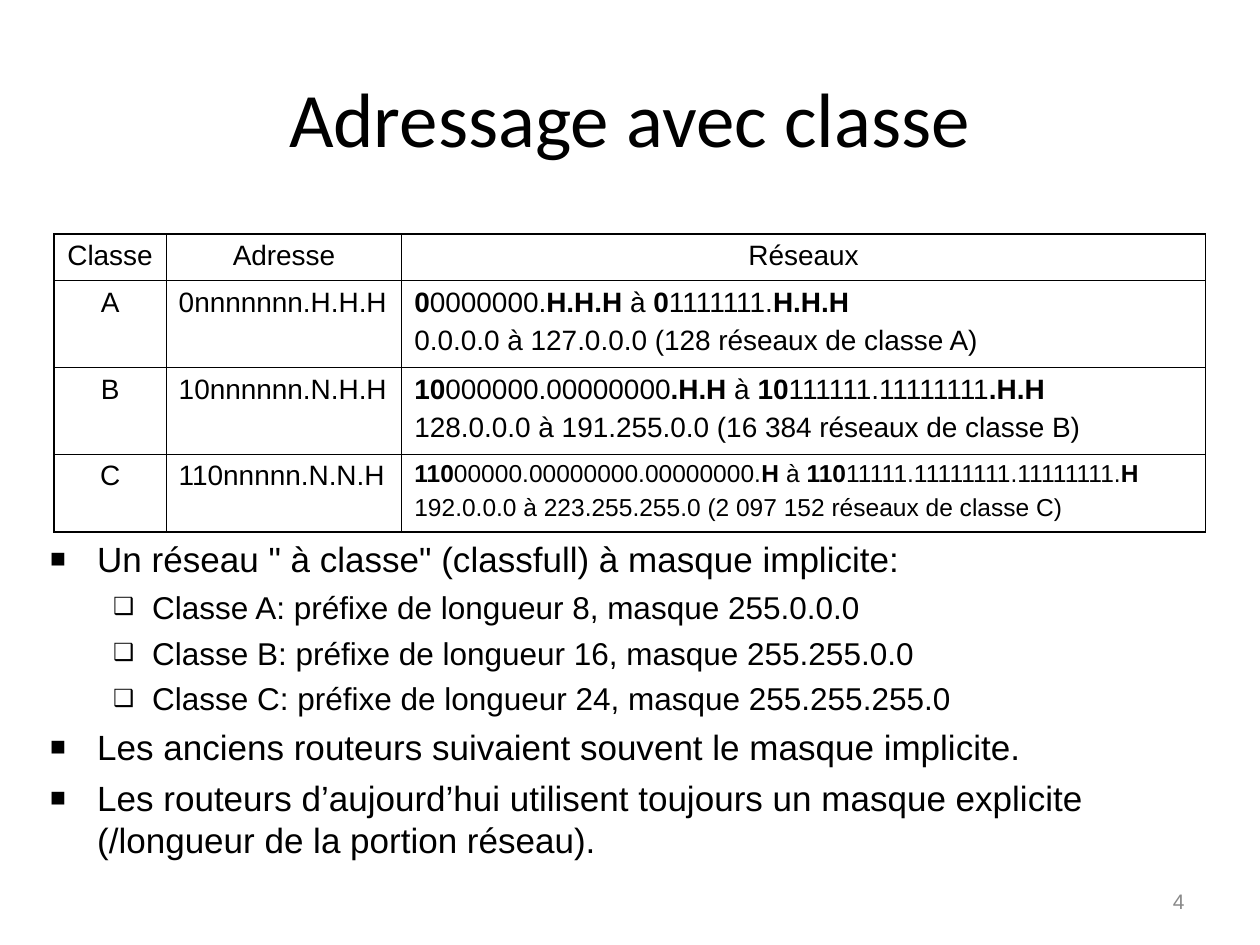
from pptx import Presentation
from pptx.dml.color import RGBColor
from pptx.enum.text import MSO_ANCHOR as ANCHOR, PP_ALIGN as ALIGN
from pptx.oxml import parse_xml
from pptx.oxml.ns import nsdecls
from pptx.util import Cm, Pt

BLACK = RGBColor(0x00, 0x00, 0x00)
GREY = RGBColor(0x89, 0x89, 0x89)
THIN, THICK = Pt(0.45), Pt(1.08)

COLUMNS = [2.26, 4.75, 16.2]
ROWS = [
    (0.94, 16, ["Classe", "Adresse", ["Réseaux"]]),
    (1.75, 16, ["A", "0nnnnnnn.H.H.H", [
        "*0*0000000.*H.H.H* à *0*1111111.*H.H.H*",
        "0.0.0.0 à 127.0.0.0 (128 réseaux de classe A)"]]),
    (1.75, 16, ["B", "10nnnnnn.N.H.H", [
        "*10*000000.00000000*.H.H* à *10*111111.11111111*.H.H*",
        "128.0.0.0 à 191.255.0.0 (16 384 réseaux de classe B)"]]),
    (1.57, 14, ["C", "110nnnnn.N.N.H", [
        "*110*00000.00000000.00000000.*H* à *110*11111.11111111.11111111.*H*",
        "192.0.0.0 à 223.255.255.0 (2 097 152 réseaux de classe C)"]]),
]
BULLETS = [
    (0, 'Un réseau " à classe" (classfull) à masque implicite:'),
    (1, "Classe A: préfixe de longueur 8, masque 255.0.0.0"),
    (1, "Classe B: préfixe de longueur 16, masque 255.255.0.0"),
    (1, "Classe C: préfixe de longueur 24, masque 255.255.255.0"),
    (0, "Les anciens routeurs suivaient souvent le masque implicite."),
    (0, "Les routeurs d’aujourd’hui utilisent toujours un masque explicite "
        "(/longueur de la portion réseau)."),
]
LEVELS = [("■", 20, 5, 0.95, 0.95), ("❑", 18, 4.5, 2.06, 0.79)]


def add_run(p, text, size, color=BLACK, font="Arial", bold=False):
    """Append one formatted run to a paragraph."""
    r = p.add_run()
    r.text = text
    r.font.size, r.font.name, r.font.bold = Pt(size), font, bold
    r.font.color.rgb = color


def add_frame(s, box, anchor=ANCHOR.TOP):
    """Add a wrapping text box and return its text frame."""
    tf = s.shapes.add_textbox(*map(Cm, box)).text_frame
    tf.word_wrap = True
    tf.vertical_anchor = anchor
    return tf


def next_paragraph(tf, index):
    """Return the first paragraph of a frame, or a new one after it."""
    return tf.add_paragraph() if index else tf.paragraphs[0]


def add_line(s, box, text, size, align, color=BLACK, font="Arial"):
    """Place a single line centred vertically in the box."""
    p = add_frame(s, box, ANCHOR.MIDDLE).paragraphs[0]
    p.alignment = align
    add_run(p, text, size, color, font)


def set_borders(cell, widths):
    """Draw the left, right, top and bottom borders of a cell."""
    tc_pr = cell._tc.get_or_add_tcPr()
    for i, (side, width) in enumerate(zip("LRTB", widths)):
        tc_pr.insert(i, parse_xml(
            f'<a:ln{side} {nsdecls("a")} w="{int(width)}"><a:solidFill>'
            f'<a:srgbClr val="{BLACK}"/></a:solidFill></a:ln{side}>'))


def fill_cell(cell, lines, size, align):
    """Write lines into a cell, with starred parts in bold."""
    cell.fill.background()
    for i, line in enumerate(lines):
        p = next_paragraph(cell.text_frame, i)
        p.alignment = align
        p.space_before = Pt(size / 4)
        for j, part in enumerate(line.split("*")):
            if part:
                add_run(p, part, size, bold=j % 2 == 1)


def add_class_table(s, left, top):
    """Place the table of address classes at the given corner."""
    height = sum(row[0] for row in ROWS)
    table = s.shapes.add_table(len(ROWS), len(COLUMNS), Cm(left), Cm(top),
                               Cm(sum(COLUMNS)), Cm(height)).table
    table.first_row = table.horz_banding = False
    for column, width in zip(table.columns, COLUMNS):
        column.width = Cm(width)
    last_row, last_col = len(ROWS) - 1, len(COLUMNS) - 1
    for r, (row_height, size, (name, address, networks)) in enumerate(ROWS):
        table.rows[r].height = Cm(row_height)
        for c, lines in enumerate([[name], [address], networks]):
            cell = table.cell(r, c)
            align = ALIGN.CENTER if r == 0 or c == 0 else ALIGN.LEFT
            fill_cell(cell, lines, size if c == last_col else 16, align)
            outer = (c == 0, c == last_col, r == 0, r == last_row)
            set_borders(cell, [THICK if edge else THIN for edge in outer])


def set_bullet(p, char, margin, hanging):
    """Give a paragraph a bullet and a hanging indent."""
    p_pr = p._p.get_or_add_pPr()
    p_pr.set("marL", str(int(Cm(margin))))
    p_pr.set("indent", str(-int(Cm(hanging))))
    for tag in (f'buClr {nsdecls("a")}><a:srgbClr val="{BLACK}"/></a:buClr>',
                f'buSzPct {nsdecls("a")} val="75000"/>',
                f'buFont {nsdecls("a")} typeface="Arial"/>',
                f'buChar {nsdecls("a")} char="{char}"/>'):
        p_pr.append(parse_xml("<a:" + tag))


def add_bullets(s, box):
    """Place the two-level list in the box."""
    tf = add_frame(s, box)
    for i, (level, text) in enumerate(BULLETS):
        char, size, before, margin, hanging = LEVELS[level]
        p = next_paragraph(tf, i)
        p.level = level
        p.space_before = Pt(before)
        set_bullet(p, char, margin, hanging)
        add_run(p, text, size)


def main():
    """Build the slide and save it."""
    prs = Presentation()
    prs.slide_width, prs.slide_height = Cm(25.4), Cm(19.05)
    s = prs.slides.add_slide(prs.slide_layouts[6])
    add_line(s, (1.27, 0.76, 22.86, 3.18), "Adressage avec classe", 44,
             ALIGN.CENTER, font="Calibri")
    add_class_table(s, 1.09, 4.72)
    add_bullets(s, (0.76, 10.72, 24.36, 7.39))
    add_line(s, (18.21, 17.65, 5.92, 1.02), "4", 12, ALIGN.RIGHT, GREY)
    prs.save("out.pptx")


if __name__ == "__main__":
    main()
